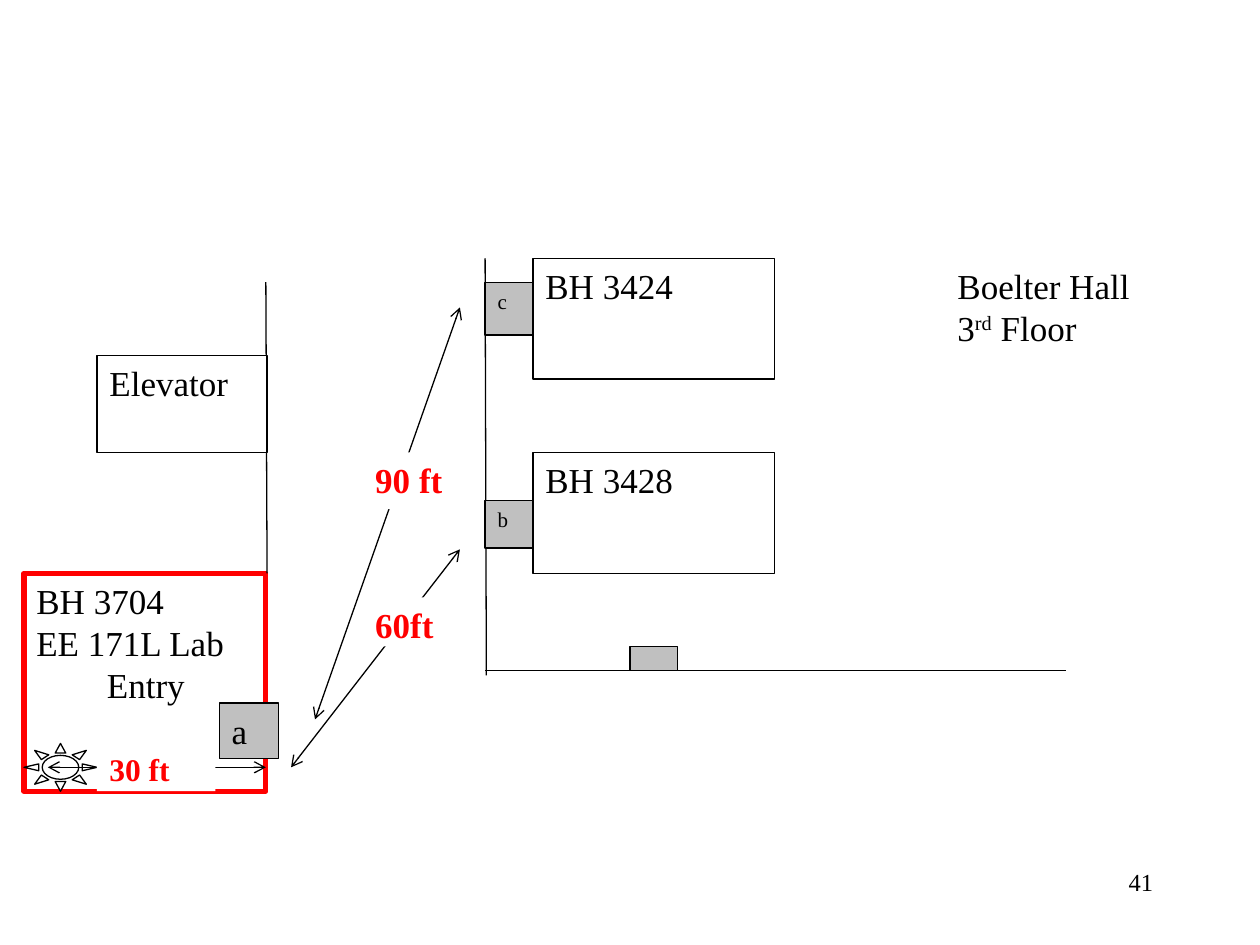
import pptx
import pptx.dml.color
import pptx.enum.shapes
import pptx.enum.text
import pptx.oxml
import pptx.oxml.ns
import pptx.util

Inches = pptx.util.Inches
COLORS = {"black": "000000", "white": "FFFFFF", "red": "FF0000", "door": "C0C0C0"}
FONT = "Times New Roman"
MARGINS = (0.1, 0.05)


def color(name):
    return pptx.dml.color.RGBColor.from_string(COLORS[name])


class FloorPlan:
    """Holds the style and the current slide."""

    def __init__(self, slide):
        self.slide = slide

    def label(self, shape, text, size, ink="black", bold=False, align="LEFT"):
        frame = shape.text_frame
        frame.text = text
        frame.word_wrap = True
        frame.vertical_anchor = pptx.enum.text.MSO_ANCHOR.TOP
        frame.margin_left = frame.margin_right = Inches(MARGINS[0])
        frame.margin_top = frame.margin_bottom = Inches(MARGINS[1])
        for paragraph in frame.paragraphs:
            paragraph.alignment = getattr(pptx.enum.text.PP_ALIGN, align)
            for run in paragraph.runs:
                self.style(run, size, ink, bold)

    def style(self, run, size, ink="black", bold=False):
        run.font.name = FONT
        run.font.size = pptx.util.Pt(size)
        run.font.bold = bold
        run.font.color.rgb = color(ink)

    def shape(self, box, kind="RECTANGLE", fill="white", outline="black", width=0.75):
        preset = getattr(pptx.enum.shapes.MSO_SHAPE, kind)
        shape = self.slide.shapes.add_shape(preset, *map(Inches, box))
        shape.shadow.inherit = False
        shape.fill.solid()
        shape.fill.fore_color.rgb = color(fill)
        if outline:
            shape.line.color.rgb = color(outline)
            shape.line.width = pptx.util.Pt(width)
        else:
            shape.line.fill.background()
        return shape

    def room(self, box, text, **border):
        shape = self.shape(box, **border)
        self.label(shape, text, 20)
        return shape

    def door(self, box, text="", size=12):
        shape = self.shape(box, fill="door")
        if text:
            self.label(shape, text, size)

    def distance(self, box, text, size=20):
        self.label(self.shape(box, outline=None), text, size, "red", True)

    def text_box(self, box, text, size, align):
        shape = self.slide.shapes.add_textbox(*map(Inches, box))
        self.label(shape, text, size, align=align)

    def line(self, start, end, arrows=False):
        connector = self.slide.shapes.add_connector(
            pptx.enum.shapes.MSO_CONNECTOR.STRAIGHT, *map(Inches, start + end))
        connector.line.color.rgb = color("black")
        connector.line.width = pptx.util.Pt(0.75)
        if arrows:
            outline = connector.line._get_or_add_ln()
            for tag in ("a:headEnd", "a:tailEnd"):
                arrow = pptx.oxml.parse_xml(
                    f'<{tag} {pptx.oxml.ns.nsdecls("a")} type="arrow"/>')
                outline.append(arrow)
        effects = pptx.oxml.parse_xml(f'<a:effectLst {pptx.oxml.ns.nsdecls("a")}/>')
        connector._element.spPr.append(effects)


def main():
    presentation = pptx.Presentation()
    presentation.slide_width = Inches(10)
    presentation.slide_height = Inches(7.5)
    plan = FloorPlan(presentation.slides.add_slide(presentation.slide_layouts[6]))

    # Slide number
    plan.text_box((7.17, 6.83, 2.08, 0.5), "41", 14, "RIGHT")

    # Lab room, with its last line indented
    lab = plan.room((0.19, 4.55, 1.92, 1.73), "BH 3704\nEE 171L Lab\nEntry",
                    outline="red", width=3)
    entry = lab.text_frame.paragraphs[2]
    entry._p.get_or_add_pPr().set("marL", str(Inches(0.56)))

    # Rooms and corridor walls
    plan.line((2.11, 2.24), (2.12, 4.55))
    for top, name in ((3.59, "BH 3428"), (2.05, "BH 3424")):
        plan.room((4.23, top, 1.92, 0.96), name)
    plan.line((3.85, 2.05), (3.86, 5.36))
    plan.line((3.85, 5.32), (8.46, 5.32))
    plan.door((5, 5.13, 0.38, 0.19))
    plan.room((0.77, 2.82, 1.35, 0.77), "Elevator")

    # Distances; the labels cover part of their arrows
    plan.line((3.65, 2.44), (2.5, 5.71), arrows=True)
    plan.line((3.65, 4.36), (2.31, 6.09), arrows=True)
    plan.distance((2.88, 4.74, 0.9, 0.39), "60ft")
    sun = plan.shape((0.19, 5.9, 0.58, 0.38), kind="SUN")
    sun.adjustments[0] = 0.25
    plan.line((0.38, 6.09), (2.11, 6.09), arrows=True)
    plan.distance((0.77, 5.9, 0.94, 0.38), "30 ft", 18)

    # Building name, with a raised ordinal
    building = plan.room((7.5, 2.05, 1.92, 0.96), "Boelter Hall\n3", outline=None)
    floor = building.text_frame.paragraphs[1]
    for text, baseline in (("rd", 30000), (" Floor", 0)):
        run = floor.add_run()
        run.text = text
        plan.style(run, 20)
        run._r.get_or_add_rPr().set("baseline", str(baseline))
    plan.distance((2.88, 3.59, 0.96, 0.45), "90 ft")

    # Doors
    plan.door((1.74, 5.58, 0.47, 0.44), "a", 20)
    plan.door((3.85, 3.97, 0.38, 0.38), "b")
    plan.door((3.85, 2.24, 0.38, 0.42), "c")

    presentation.save("out.pptx")


if __name__ == "__main__":
    main()
